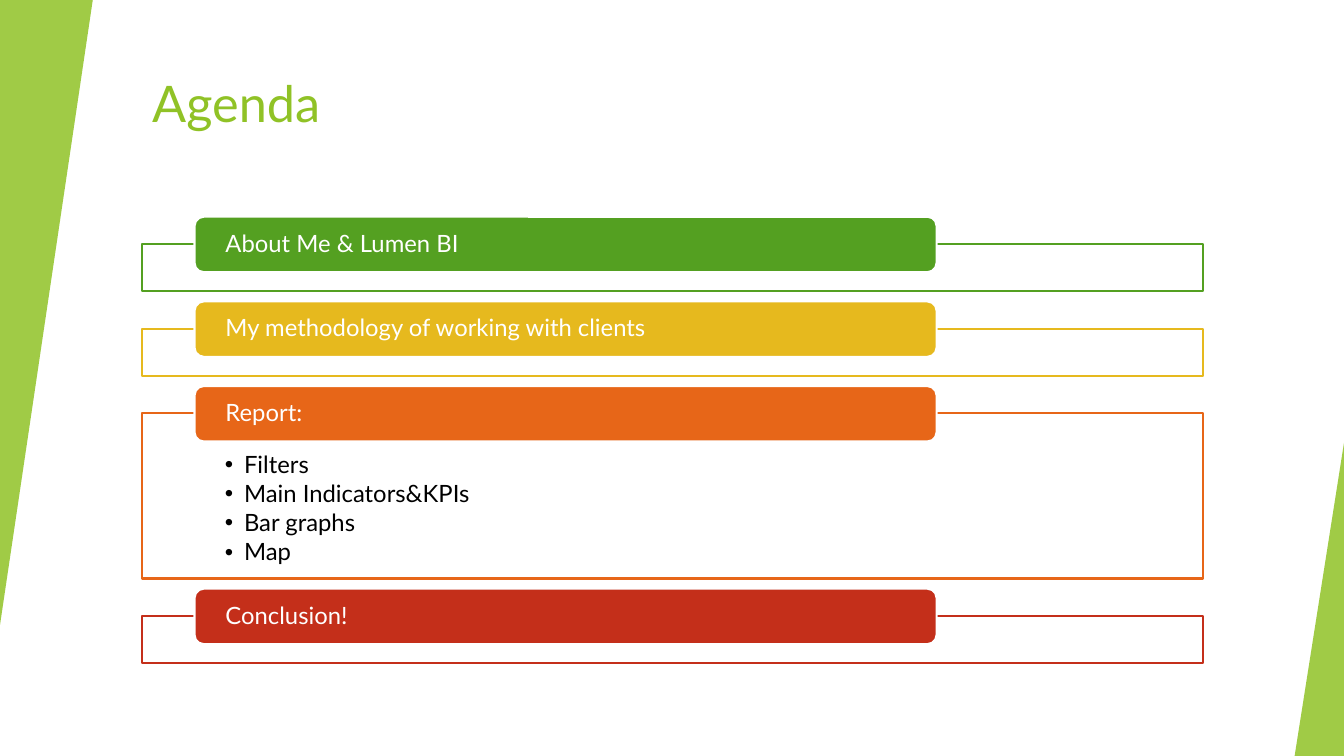
from dataclasses import dataclass

from lxml.etree import SubElement
from pptx import Presentation
from pptx.dml.color import RGBColor
from pptx.enum.shapes import MSO_SHAPE
from pptx.enum.text import MSO_ANCHOR, PP_ALIGN
from pptx.oxml.ns import qn
from pptx.util import Inches, Pt


@dataclass(frozen=True)
class Theme:
    font: str = "Lato"
    title_size: float = 36
    body_size: float = 17
    outline: float = 1.5
    lime: str = "90C226"
    green: str = "54A021"
    yellow: str = "E6B91E"
    orange: str = "E76618"
    red: str = "C42F1A"
    white: str = "FFFFFF"
    black: str = "000000"


def write(para, text, *, font, size, color, line_spacing=None, space_after=0):
    para.alignment = PP_ALIGN.LEFT
    para.space_after = Pt(space_after)
    if line_spacing:
        para.line_spacing = line_spacing
    span = para.add_run()
    span.text = text
    span.font.name = font
    span.font.size = Pt(size)
    span.font.color.rgb = RGBColor.from_string(color)


def add_bullet(para, indent):
    properties = para._p.get_or_add_pPr()
    properties.set("marL", str(Inches(indent)))
    properties.set("indent", str(-Inches(indent)))
    SubElement(properties, qn("a:buFont")).set("typeface", "Arial")
    SubElement(properties, qn("a:buChar")).set("char", "•")


class AgendaSlide:
    def __init__(self, deck, theme):
        self.theme = theme
        self.page = deck.slides.add_slide(deck.slide_layouts[5])

    def title(self, text, left, top, width, height):
        box = self.page.shapes.title
        box.left, box.top = Inches(left), Inches(top)
        box.width, box.height = Inches(width), Inches(height)
        frame = box.text_frame
        frame.vertical_anchor = MSO_ANCHOR.TOP
        write(frame.paragraphs[0], text, font=self.theme.font,
              size=self.theme.title_size, color=self.theme.lime)

    def shape(self, kind, left, top, width, height, fill, line=None):
        box = self.page.shapes.add_shape(
            kind, Inches(left), Inches(top), Inches(width), Inches(height))
        box.shadow.inherit = False
        box.fill.solid()
        box.fill.fore_color.rgb = RGBColor.from_string(fill)
        if line:
            box.line.color.rgb = RGBColor.from_string(line)
            box.line.width = Pt(self.theme.outline)
        else:
            box.line.fill.background()
        return box

    def edge_wedge(self, left, top, width, height, rotation=0):
        """Add a translucent right triangle whose upright side is on the right."""
        wedge = self.shape(MSO_SHAPE.ISOSCELES_TRIANGLE, left, top, width, height,
                           self.theme.lime)
        wedge.adjustments[0] = 1
        wedge.rotation = rotation
        color = wedge.fill._xPr.find(qn("a:solidFill"))[0]
        SubElement(color, qn("a:alpha")).set("val", "85000")

    def fill_text(self, box, lines, color, anchor, insets, space_after=0, bullet_indent=None):
        frame = box.text_frame
        frame.word_wrap = True
        frame.vertical_anchor = anchor
        (frame.margin_left, frame.margin_top,
         frame.margin_right, frame.margin_bottom) = map(Inches, insets)
        for index, line in enumerate(lines):
            para = frame.add_paragraph() if index else frame.paragraphs[0]
            write(para, line, font=self.theme.font, size=self.theme.body_size,
                  color=color, line_spacing=0.9, space_after=space_after)
            if bullet_indent:
                add_bullet(para, bullet_indent)

    def section(self, top, heading, color, points, frame_height):
        """Add an outlined frame with a heading bar; return the frame's bottom."""
        frame_top = top + 0.27
        frame = self.shape(MSO_SHAPE.RECTANGLE, 1.41, frame_top, 10.52, frame_height,
                           self.theme.white, color)
        if points:
            self.fill_text(frame, points, self.theme.black, MSO_ANCHOR.TOP,
                           (0.82, 0.39, 0.82, 0.13), space_after=2.55, bullet_indent=0.19)
        bar = self.shape(MSO_SHAPE.ROUNDED_RECTANGLE, 1.93, top, 7.36, 0.55,
                         color, self.theme.white)
        self.fill_text(bar, [heading], self.theme.white, MSO_ANCHOR.MIDDLE,
                       (0.28, 0, 0.28, 0))
        return frame_top + frame_height


def main():
    deck = Presentation()
    deck.slide_width, deck.slide_height = Inches(13.33), Inches(7.5)
    theme = Theme()
    agenda = AgendaSlide(deck, theme)
    agenda.title("Agenda", 1.41, 0.67, 11.15, 1.2)
    agenda.edge_wedge(0, 0, 0.92, 6.2, rotation=180)
    agenda.edge_wedge(12.84, 4.39, 0.49, 3.11)

    report_points = ["Filters", "Main Indicators&KPIs", "Bar graphs", "Map"]
    sections = [
        ("About Me & Lumen BI", theme.green, [], 0.47),
        ("My methodology of working with clients", theme.yellow, [], 0.47),
        ("Report:", theme.orange, report_points, 1.64),
        ("Conclusion!", theme.red, [], 0.47),
    ]
    top, gap = 2.15, 0.1
    for heading, color, points, frame_height in sections:
        top = agenda.section(top, heading, color, points, frame_height) + gap

    deck.save("out.pptx")


if __name__ == "__main__":
    main()
